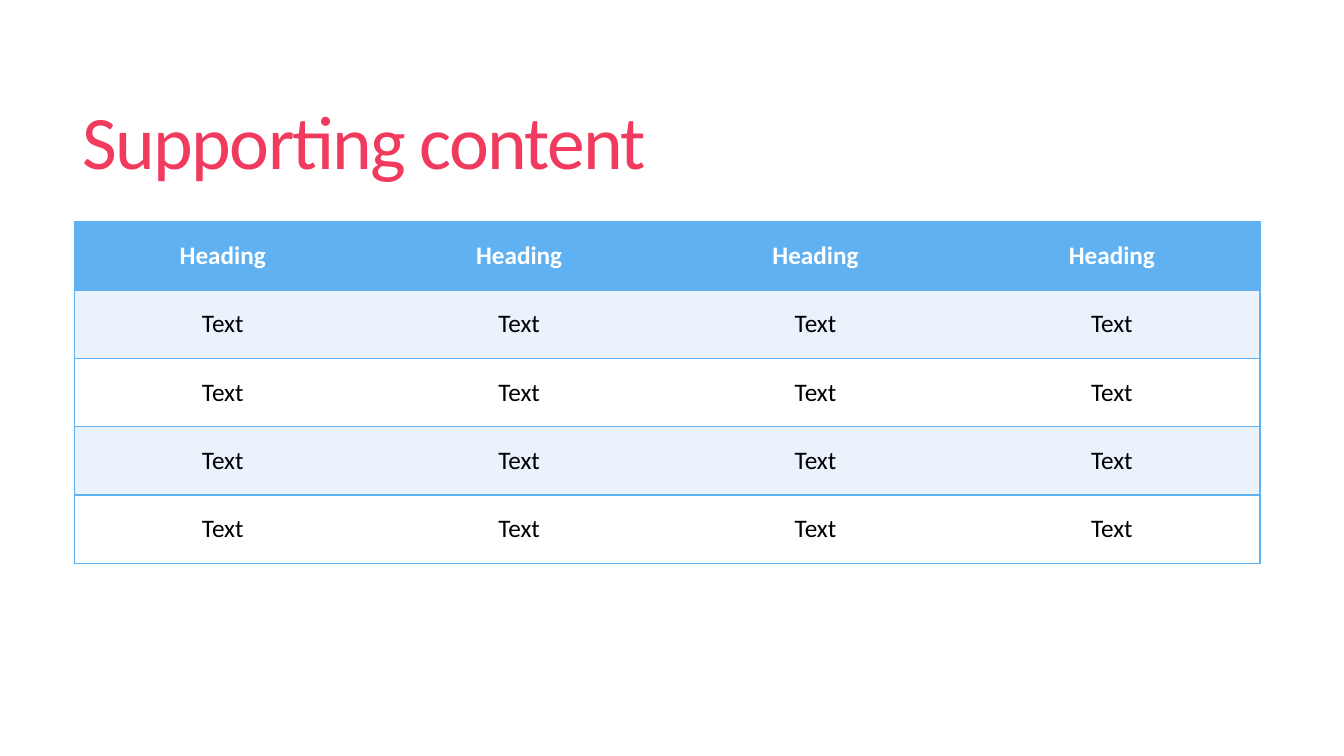
"""Build a slide with a title and a banded table."""
from dataclasses import dataclass

from lxml import etree
from pptx import Presentation
from pptx import util as u
from pptx.dml.color import RGBColor
from pptx.enum import text
from pptx.oxml.ns import qn


@dataclass(frozen=True)
class Theme:
    """Hold the colours, font and type sizes."""
    face: str = "Calibri"
    title: str = "F03B5E"
    head: str = "60B1F2"
    band: str = "EAF2FC"
    plain: str = "FFFFFF"
    ink: str = "000000"
    big: float = 54
    body: float = 18
    rule: float = 1


THEME = Theme()
COLS, ROWS = 4, 5


def assign(obj, vals):
    """Set each attribute named in vals."""
    for name, val in vals.items():
        setattr(obj, name, val)


def write(frame, words, size, color, para, bold=False):
    """Put one styled run in a frame and return it."""
    line = frame.paragraphs[0]
    assign(line, para)
    run = line.add_run()
    run.text = words
    assign(run.font, {"name": THEME.face, "size": u.Pt(size), "bold": bold})
    run.font.color.rgb = RGBColor.from_string(color)
    return run


def add_title(slide, words, box):
    """Add the slide title with tight letter spacing."""
    frame = slide.shapes.add_textbox(*map(u.Pt, box)).text_frame
    assign(frame, {"word_wrap": True,
                   "vertical_anchor": text.MSO_ANCHOR.MIDDLE})
    run = write(frame, words, THEME.big, THEME.title, {"line_spacing": 0.85})
    run.font._element.set("spc", "-120")


def add_edge(cell, side, shown):
    """Add one cell border, drawn or empty."""
    width = u.Pt(THEME.rule if shown else 0)
    props = cell._tc.get_or_add_tcPr()
    line = etree.SubElement(props, qn(f"a:ln{side}"), w=str(width))
    fill = etree.SubElement(line, qn("a:solidFill" if shown else "a:noFill"))
    if shown:
        etree.SubElement(fill, qn("a:srgbClr"), val=THEME.head)


def fill_cell(cell, row, col):
    """Style one cell by its place in the grid."""
    top = row == 0
    edges = {"L": col == 0, "R": col == COLS - 1, "T": True, "B": True}
    for side, shown in edges.items():
        add_edge(cell, side, shown)
    back = THEME.head if top else THEME.band if row % 2 else THEME.plain
    cell.fill.solid()
    cell.fill.fore_color.rgb = RGBColor.from_string(back)
    cell.vertical_anchor = text.MSO_ANCHOR.MIDDLE
    write(cell.text_frame, "Heading" if top else "Text", THEME.body,
          THEME.plain if top else THEME.ink,
          {"alignment": text.PP_ALIGN.CENTER}, top)


def add_grid(slide, box):
    """Add the table with equal rows and columns."""
    table = slide.shapes.add_table(ROWS, COLS, *map(u.Pt, box)).table
    table.horz_banding = False
    for row in range(ROWS):
        for col in range(COLS):
            fill_cell(table.cell(row, col), row, col)


def main():
    """Build and save the slide."""
    deck = Presentation()
    assign(deck, {"slide_width": u.Pt(960), "slide_height": u.Pt(540)})
    slide = deck.slides.add_slide(deck.slide_layouts[6])
    add_title(slide, "Supporting content", (52, 39.6, 848, 130.3))
    add_grid(slide, (53.3, 158.4, 846.8, 244))
    deck.save("out.pptx")


main()
